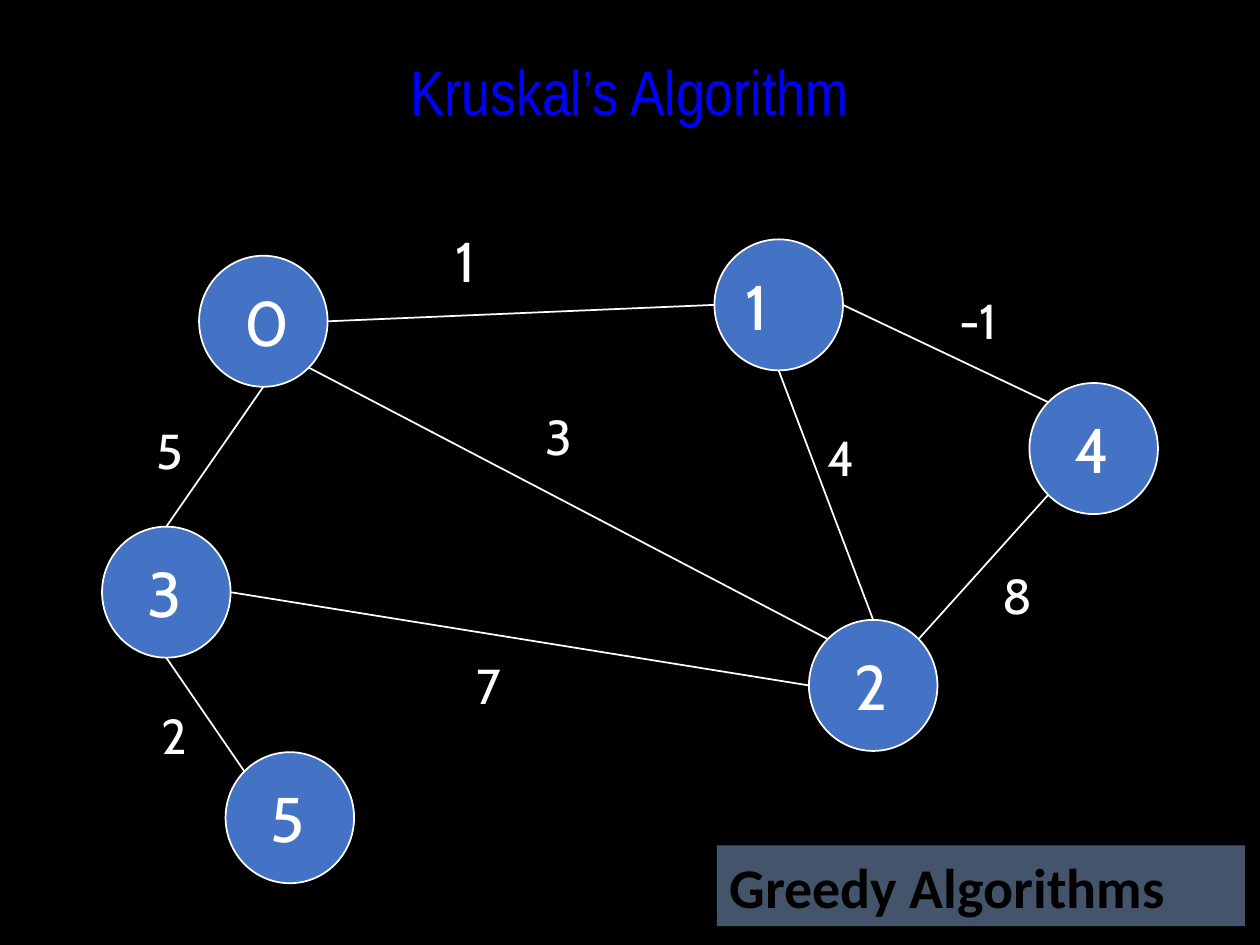
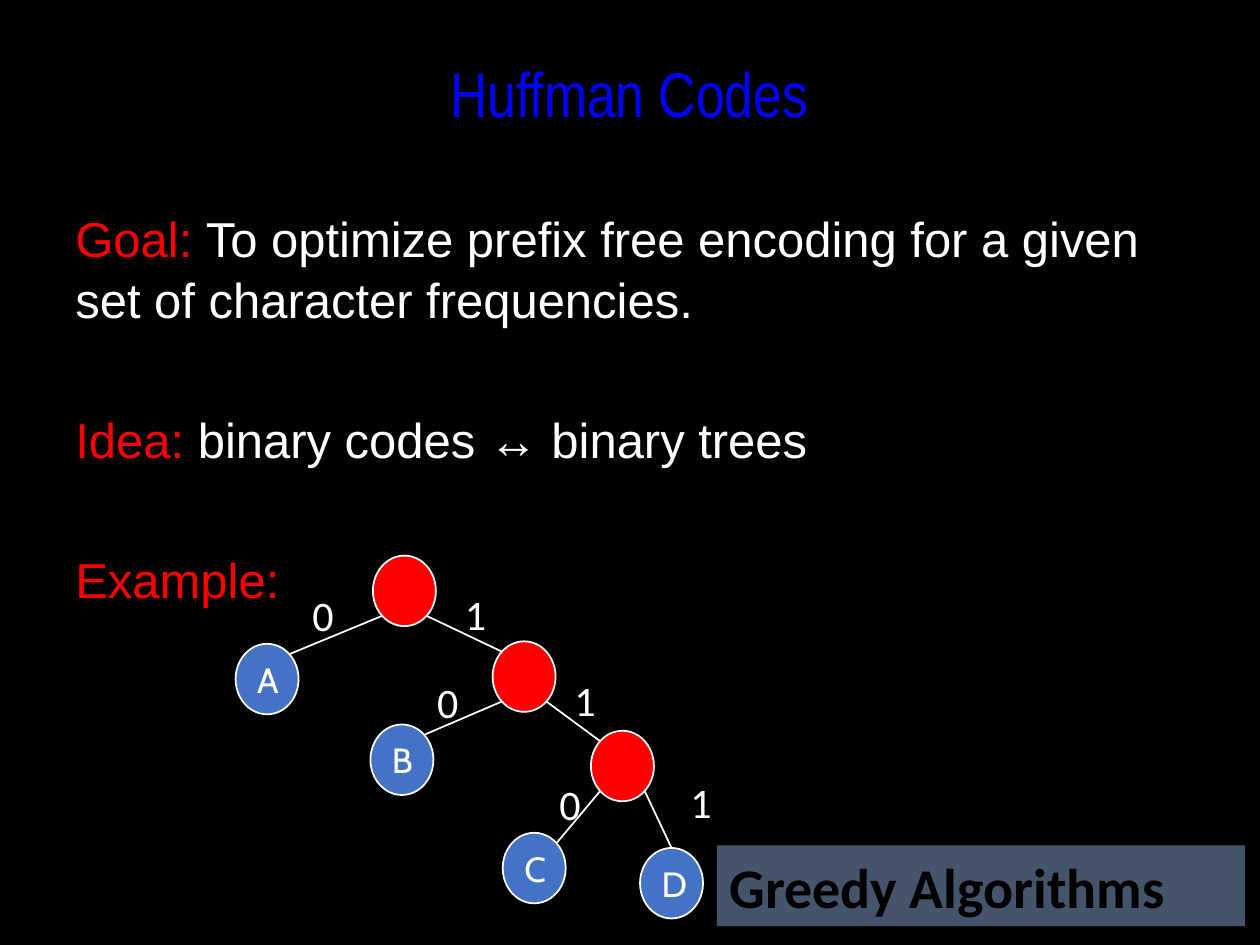
"""Build two slides on greedy algorithms: Kruskal's graph and a Huffman tree."""
from enum import IntEnum
from math import cos, radians, sin
from typing import Any, NamedTuple

from lxml.etree import SubElement
from pptx import Presentation
from pptx.dml.color import RGBColor
from pptx.enum.shapes import MSO_CONNECTOR as Link, MSO_SHAPE as Preset
from pptx.enum.text import MSO_ANCHOR as Anchor, PP_ALIGN as Align
from pptx.oxml.ns import qn
from pptx.util import Inches, Pt

WIDTH, HEIGHT = Inches(10), Inches(7.5)
COLUMN, ROW = WIDTH / 100, HEIGHT / 75
BLACK, WHITE, RED, BLUE = "000000", "FFFFFF", "FF0000", "4472C4"
TITLE_BLUE, SLATE = "0000FF", "44546A"


class Side(IntEnum):
    """Eight attachment sites of an oval, counterclockwise from the top."""
    TOP = 0
    TOP_LEFT = 1
    LEFT = 2
    BOTTOM_LEFT = 3
    BOTTOM = 4
    BOTTOM_RIGHT = 5
    RIGHT = 6
    TOP_RIGHT = 7


class Area(NamedTuple):
    """A rectangle in grid columns and rows."""
    column: float
    row: float
    columns: float
    rows: float

    def emu(self) -> tuple[int, int, int, int]:
        """Return left, top, width and height in slide units."""
        return (round(self.column * COLUMN), round(self.row * ROW),
                round(self.columns * COLUMN), round(self.rows * ROW))


class Style(NamedTuple):
    """The look of a piece of text."""
    font: str
    size: float
    color: str = WHITE
    bold: bool = False


class Node(NamedTuple):
    """An oval of a graph, placed by its top left corner."""
    column: float
    row: float
    text: str = ""
    fill: str = BLUE


class Edge(NamedTuple):
    """A line between the sites of two nodes."""
    start: str
    leave: Side
    end: str
    enter: Side


class Weight(NamedTuple):
    """A number beside an edge."""
    column: float
    row: float
    text: str
    columns: float
    style: Style


class Graph(NamedTuple):
    """Nodes of one size with their edges and weights."""
    columns: float
    rows: float
    node_style: Style
    nodes: dict[str, Node]
    edges: list[Edge]
    weights: list[Weight]


TITLE = Style("Arial Narrow", 36, TITLE_BLUE)
FOOTER = Style("Calibri", 32, BLACK, True)
LEAD, BODY = Style("Arial", 28, RED), Style("Arial", 28)
COST, BIT = Style("Cabin", 28), Style("Calibri", 24)

KRUSKAL = Graph(
    10.2, 10.4, Style("Cabin", 36),
    {
        "0": Node(15.8, 20.3, " 0"),
        "1": Node(56.7, 19, "1"),
        "2": Node(64.2, 49.2, " 2"),
        "3": Node(8.1, 41.8, " 3"),
        "4": Node(81.7, 30.4, " 4"),
        "5": Node(17.9, 59.7, " 5"),
    },
    [
        Edge("0", Side.RIGHT, "1", Side.LEFT),
        Edge("0", Side.BOTTOM, "3", Side.TOP),
        Edge("0", Side.BOTTOM_RIGHT, "2", Side.TOP_LEFT),
        Edge("3", Side.RIGHT, "2", Side.LEFT),
        Edge("3", Side.BOTTOM, "5", Side.TOP_LEFT),
        Edge("1", Side.BOTTOM, "2", Side.TOP),
        Edge("1", Side.RIGHT, "4", Side.TOP_LEFT),
        Edge("2", Side.TOP_RIGHT, "4", Side.BOTTOM_LEFT),
    ],
    [
        Weight(35.2, 17.5, "1", 5.6, COST._replace(size=32)),
        Weight(11.8, 55.5, "2", 5.6, COST),
        Weight(42.3, 31.8, "3", 5.6, COST),
        Weight(64.7, 33.4, "4", 5.6, COST),
        Weight(11.4, 32.9, "5", 5.6, COST),
        Weight(36.8, 51.5, "7", 5.6, COST),
        Weight(78.6, 44.4, "8", 5.6, COST),
        Weight(75.2, 22.6, "-1", 6.5, COST),
    ],
)

HUFFMAN = Graph(
    5, 5.6, Style("Cabin", 20),
    {
        "root": Node(29.6, 44.1, fill=RED),
        "BCD": Node(39.1, 50.9, fill=RED),
        "CD": Node(46.9, 58, fill=RED),
        "A": Node(18.7, 51.1, "A"),
        "B": Node(29.4, 57.5, "B"),
        "C": Node(39.9, 66.1, "C"),
        "D": Node(50.8, 67.3, "D"),
    },
    [
        Edge("root", Side.BOTTOM_LEFT, "A", Side.TOP_RIGHT),
        Edge("root", Side.BOTTOM_RIGHT, "BCD", Side.TOP_LEFT),
        Edge("BCD", Side.BOTTOM_LEFT, "B", Side.TOP_RIGHT),
        Edge("BCD", Side.BOTTOM_RIGHT, "CD", Side.TOP_LEFT),
        Edge("CD", Side.BOTTOM_LEFT, "C", Side.TOP_RIGHT),
        Edge("CD", Side.BOTTOM_RIGHT, "D", Side.TOP),
    ],
    [
        Weight(column, row, bit, 2.5, BIT)
        for column, row, bit in (
            (23.8, 46.3, "0"), (33.7, 53.2, "0"), (43.4, 61.3, "0"),
            (35.9, 46.2, "1"), (44.6, 53, "1"), (53.8, 61.1, "1"))
    ],
)

SUMMARY = [
    ("Goal: ", "To optimize prefix free encoding for a given set of character frequencies."),
    ("Idea: ", "binary codes ↔ binary trees"),
    ("Example:", ""),
]


def rgb(color: str) -> RGBColor:
    """Turn a hex string into a colour."""
    return RGBColor.from_string(color)


def apply(target: Any, formats: dict[str, Any]) -> None:
    """Set each named format value on the target."""
    for name, value in formats.items():
        setattr(target, name, value)


def write(paragraph: Any, text: str, style: Style) -> None:
    """Add a styled run to a paragraph."""
    run = paragraph.add_run()
    run.text = text
    apply(run.font, {"name": style.font, "size": Pt(style.size), "bold": style.bold})
    run.font.color.rgb = rgb(style.color)


def add_text(slide: Any, area: Area, text: str, style: Style, **formats: Any) -> Any:
    """Add a top-anchored text box and return its paragraph."""
    frame = slide.shapes.add_textbox(*area.emu()).text_frame
    apply(frame, {"word_wrap": True, "vertical_anchor": Anchor.TOP} | formats)
    paragraph = frame.paragraphs[0]
    write(paragraph, text, style)
    return paragraph


def add_filled(slide: Any, preset: Any, area: Area, fill: str, text: str,
               style: Style) -> Any:
    """Add a filled preset shape with left-aligned text."""
    shape = slide.shapes.add_shape(preset, *area.emu())
    shape.shadow.inherit = False
    shape.fill.solid()
    shape.fill.fore_color.rgb = rgb(fill)
    shape.line.fill.background()
    shape.text_frame.vertical_anchor = Anchor.MIDDLE
    paragraph = shape.text_frame.paragraphs[0]
    paragraph.alignment = Align.LEFT
    if text:
        write(paragraph, text, style)
    return shape


def outline(line: Any) -> None:
    """Give a line the thin white stroke of the graphs."""
    line.color.rgb = rgb(WHITE)
    line.width = Pt(1)


def site(oval: Any, side: Side) -> tuple[int, int]:
    """Find the point of an oval at the given side."""
    angle = radians(90 + 45 * side)
    return (round(oval.left + oval.width / 2 * (1 + cos(angle))),
            round(oval.top + oval.height / 2 * (1 - sin(angle))))


def draw_graph(slide: Any, graph: Graph) -> None:
    """Draw the nodes, edges and weights of a graph."""
    ovals = {}
    for key, node in graph.nodes.items():
        area = Area(node.column, node.row, graph.columns, graph.rows)
        ovals[key] = add_filled(slide, Preset.OVAL, area, node.fill, node.text,
                                graph.node_style)
        outline(ovals[key].line)
    for edge in graph.edges:
        start, end = ovals[edge.start], ovals[edge.end]
        link = slide.shapes.add_connector(
            Link.STRAIGHT, *site(start, edge.leave), *site(end, edge.enter))
        outline(link.line)
        SubElement(link._element.spPr, qn("a:effectLst"))
        if edge.enter == Side.TOP:
            link.end_connect(end, Side.TOP.value)
    for weight in graph.weights:
        area = Area(weight.column, weight.row, weight.columns, weight.style.size / 5)
        add_text(slide, area, weight.text, weight.style)


def add_page(deck: Any, title: str, row: float) -> Any:
    """Add a black slide with the shared footer band and title."""
    slide = deck.slides.add_slide(deck.slide_layouts[6])
    slide.background.fill.solid()
    slide.background.fill.fore_color.rgb = rgb(BLACK)
    add_filled(slide, Preset.RECTANGLE, Area(56.9, 67.1, 41.9, 6.4), SLATE,
               "Greedy Algorithms", FOOTER)
    heading = add_text(slide, Area(15.8, row, 68.3, 9.2), title, TITLE,
                       word_wrap=False, margin_top=Inches(0.09))
    heading.alignment = Align.CENTER
    return slide


def add_summary(slide: Any) -> None:
    """Write the goal, idea and example lines."""
    frame = slide.shapes.add_textbox(*Area(5, 15.8, 92.5, 55.8).emu()).text_frame
    frame.word_wrap = True
    for index, (lead, rest) in enumerate(SUMMARY):
        paragraph = frame.add_paragraph() if index else frame.paragraphs[0]
        apply(paragraph, {"line_spacing": 1.05, "space_before": Pt(44.6 if index else 0)})
        write(paragraph, lead, LEAD)
        if rest:
            write(paragraph, rest, BODY)


def main() -> None:
    """Build and save the deck."""
    deck = Presentation()
    apply(deck, {"slide_width": WIDTH, "slide_height": HEIGHT})
    draw_graph(add_page(deck, "Kruskal’s Algorithm", 3.3), KRUSKAL)
    huffman_page = add_page(deck, "Huffman Codes", 3.4)
    add_summary(huffman_page)
    draw_graph(huffman_page, HUFFMAN)
    deck.save("out.pptx")


if __name__ == "__main__":
    main()
